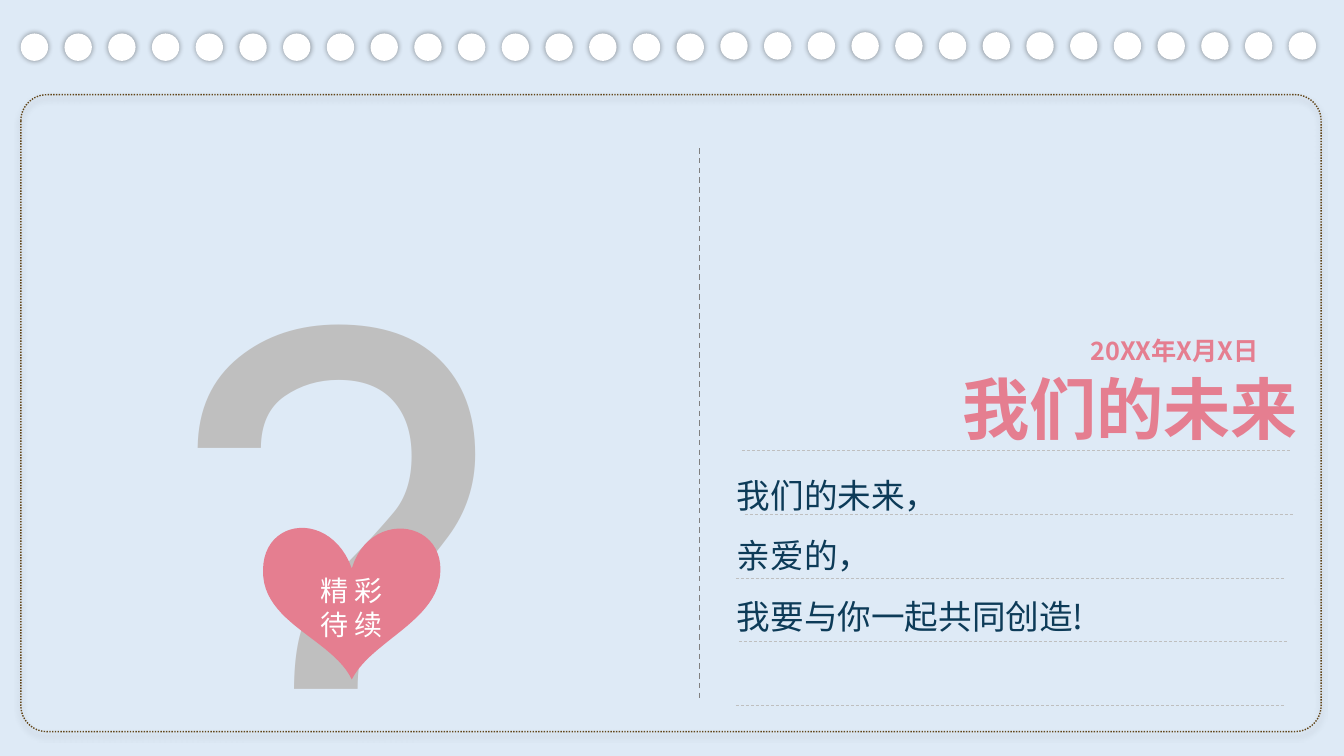
from lxml import etree
from pptx import Presentation
from pptx.dml.color import RGBColor
from pptx.enum.dml import MSO_LINE_DASH_STYLE as Dash
from pptx.enum.shapes import MSO_CONNECTOR_TYPE as Connector
from pptx.enum.shapes import MSO_AUTO_SHAPE_TYPE as Preset
from pptx.enum.text import MSO_ANCHOR as Anchor
from pptx.enum.text import MSO_AUTO_SIZE as AutoSize
from pptx.enum.text import PP_ALIGN as Align
from pptx.oxml.ns import qn
from pptx.util import Pt

SKY = RGBColor(0xDE, 0xEA, 0xF6)
WHITE = RGBColor(0xFF, 0xFF, 0xFF)
BROWN = RGBColor(0x62, 0x45, 0x18)
GRAY = RGBColor(0x80, 0x80, 0x80)
SILVER = RGBColor(0xBF, 0xBF, 0xBF)
NAVY = RGBColor(0x0D, 0x3B, 0x58)
PINK = RGBColor(0xE5, 0x7E, 0x90)

SANS_JP = "Noto Sans CJK JP"
SANS_SC = "Noto Sans CJK SC"
ROBOTO = "Roboto"

HEART_START = (251.3, 406.1)
HEART_CURVES = [
    ((263.5, 365), (315.4, 370.8), (314.6, 407.5)),
    ((313.9, 443.5), (265.7, 457.2), (251.3, 485.3)),
    ((237.6, 456.5), (187.2, 445), (187.9, 407.5)),
    ((187.9, 369.4), (236.9, 365), HEART_START),
]
DOT_COUNT, DOT_PITCH, DOT_SIZE = 30, 31.23, 19.6
RULE_LEFTS = (529.9, 532.1, 525.6, 527.8, 525.6)
RULE_TOP, RULE_GAP, RULE_WIDTH = 321.8, 45.5, 391.5


def curve_points(start, curves, steps=24):
    """Sample a chain of cubic Bézier curves, in EMU."""
    points = []
    for first, second, end in curves:
        for step in range(1, steps + 1):
            t = step / steps
            weights = ((1 - t) ** 3, 3 * t * (1 - t) ** 2, 3 * t * t * (1 - t), t ** 3)
            corners = (start, first, second, end)
            points.append(tuple(
                Pt(sum(w * corner[axis] for w, corner in zip(weights, corners)))
                for axis in (0, 1)))
        start = end
    return points


class Card:
    def __init__(self, page):
        self.page = page
        self.shapes = page.shapes
        page.background.fill.solid()
        page.background.fill.fore_color.rgb = SKY

    def cast_shadow(self, shape, distance, angle):
        effects = shape._element.spPr.find(qn("a:effectLst"))
        outer = etree.SubElement(effects, qn("a:outerShdw"), blurRad=str(Pt(4)),
                                 dist=str(Pt(distance)), dir=str(angle * 60000),
                                 algn="ctr", rotWithShape="0")
        color = etree.SubElement(outer, qn("a:srgbClr"), val="000000")
        etree.SubElement(color, qn("a:alpha"), val="40000")

    def dot(self, left, top):
        dot = self.shapes.add_shape(Preset.OVAL, Pt(left), Pt(top), Pt(DOT_SIZE), Pt(DOT_SIZE))
        self.fill(dot, WHITE)
        self.cast_shadow(dot, 0, 135)

    def fill(self, shape, color):
        shape.shadow.inherit = False
        shape.fill.solid()
        shape.fill.fore_color.rgb = color
        shape.line.fill.background()

    def frame(self, left, top, width, height):
        frame = self.shapes.add_shape(Preset.ROUNDED_RECTANGLE,
                                      Pt(left), Pt(top), Pt(width), Pt(height))
        frame.adjustments[0] = 0.041
        frame.fill.background()
        frame.shadow.inherit = False
        self.stroke(frame.line, BROWN, 1, Dash.ROUND_DOT)
        self.cast_shadow(frame, 3, 90)

    def stroke(self, line, color, width, dash):
        line.color.rgb = color
        line.width = Pt(width)
        line.dash_style = dash

    def dashed_line(self, x1, y1, x2, y2, color, width):
        line = self.shapes.add_connector(Connector.STRAIGHT, Pt(x1), Pt(y1), Pt(x2), Pt(y2))
        self.stroke(line.line, color, width, Dash.DASH)
        etree.SubElement(line._element.spPr, qn("a:effectLst"))

    def heart(self):
        builder = self.shapes.build_freeform(*(Pt(v) for v in HEART_START), scale=1.0)
        builder.add_line_segments(curve_points(HEART_START, HEART_CURVES), close=True)
        heart = builder.convert_to_shape()
        self.fill(heart, PINK)
        return heart

    def textbox(self, place, text, **style):
        return self.set_text(self.shapes.add_textbox(0, 0, 0, 0), place, text, **style)

    def set_text(self, box, place, text, size, font, color, bold=False,
                 align=Align.LEFT, spacing=1.0, wrap=False):
        """Place a text box or placeholder and give it formatted text."""
        box.left, box.top, box.width, box.height = (Pt(v) for v in place)
        frame = box.text_frame
        frame.text = text
        frame.word_wrap = wrap
        frame.auto_size = AutoSize.SHAPE_TO_FIT_TEXT
        frame.vertical_anchor = Anchor.TOP
        for para in frame.paragraphs:
            para.alignment = align
            para.line_spacing = spacing
            para.space_before = para.space_after = Pt(0)
            if box.is_placeholder:
                properties = para._p.get_or_add_pPr()
                properties.set("marL", "0")
                properties.set("indent", "0")
                etree.SubElement(properties, qn("a:buNone"))
            for span in para.runs:
                span.font.size = Pt(size)
                span.font.bold = bold
                span.font.color.rgb = color
                span.font.name = font
                etree.SubElement(span._r.get_or_add_rPr(), qn("a:ea"), typeface=font)
        return box


def main():
    deck = Presentation()
    deck.slide_width, deck.slide_height = Pt(960), Pt(540)
    page = deck.slides.add_slide(deck.slide_layouts[1])
    card = Card(page)

    for index in range(DOT_COUNT):
        card.dot(14.8 + index * DOT_PITCH, 23.9 if index < 16 else 23)
    card.frame(14.9, 67.6, 928.8, 455)
    card.dashed_line(499.6, 105.8, 499.6, 500.4, GRAY, 1)
    for index, left in enumerate(RULE_LEFTS):
        y = RULE_TOP + index * RULE_GAP
        card.dashed_line(left, y, left + RULE_WIDTH, y, SILVER, 0.5)

    card.textbox((115.9, 89.3, 303.8, 613.4), "?", size=500, font=ROBOTO, color=SILVER)
    heart = card.heart()
    caption = card.textbox((220.3, 406.1, 61.2, 55.4), "精 彩\n待 续", size=20,
                           font=SANS_SC, color=WHITE, align=Align.CENTER)
    page.shapes.add_group_shape([heart, caption])

    card.textbox((771.8, 225.4, 166.3, 40.3), "20XX年X月X日", size=18, font=SANS_JP,
                 color=PINK, bold=True, spacing=1.5)
    card.set_text(page.shapes.title, (634.3, 258.5, 300.2, 65.5), "我们的未来", size=48,
                  font=SANS_JP, color=PINK, bold=True, align=Align.RIGHT, wrap=True)
    card.set_text(page.placeholders[1], (519.1, 321.1, 409.7, 138.2),
                  "我们的未来，\n亲爱的，\n我要与你一起共同创造!", size=24, font=SANS_JP,
                  color=NAVY, spacing=1.5, wrap=True)
    deck.save("out.pptx")


if __name__ == "__main__":
    main()
